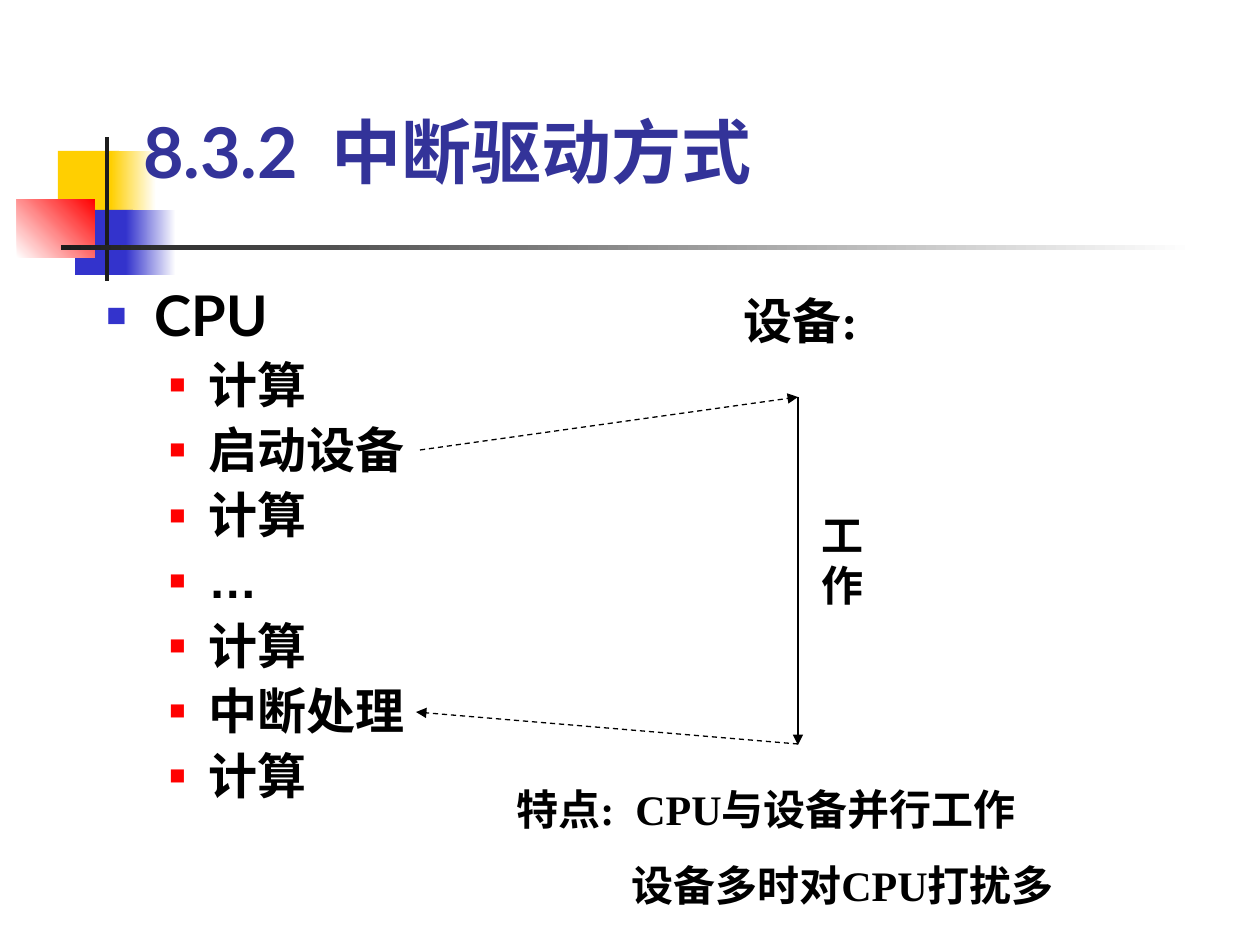
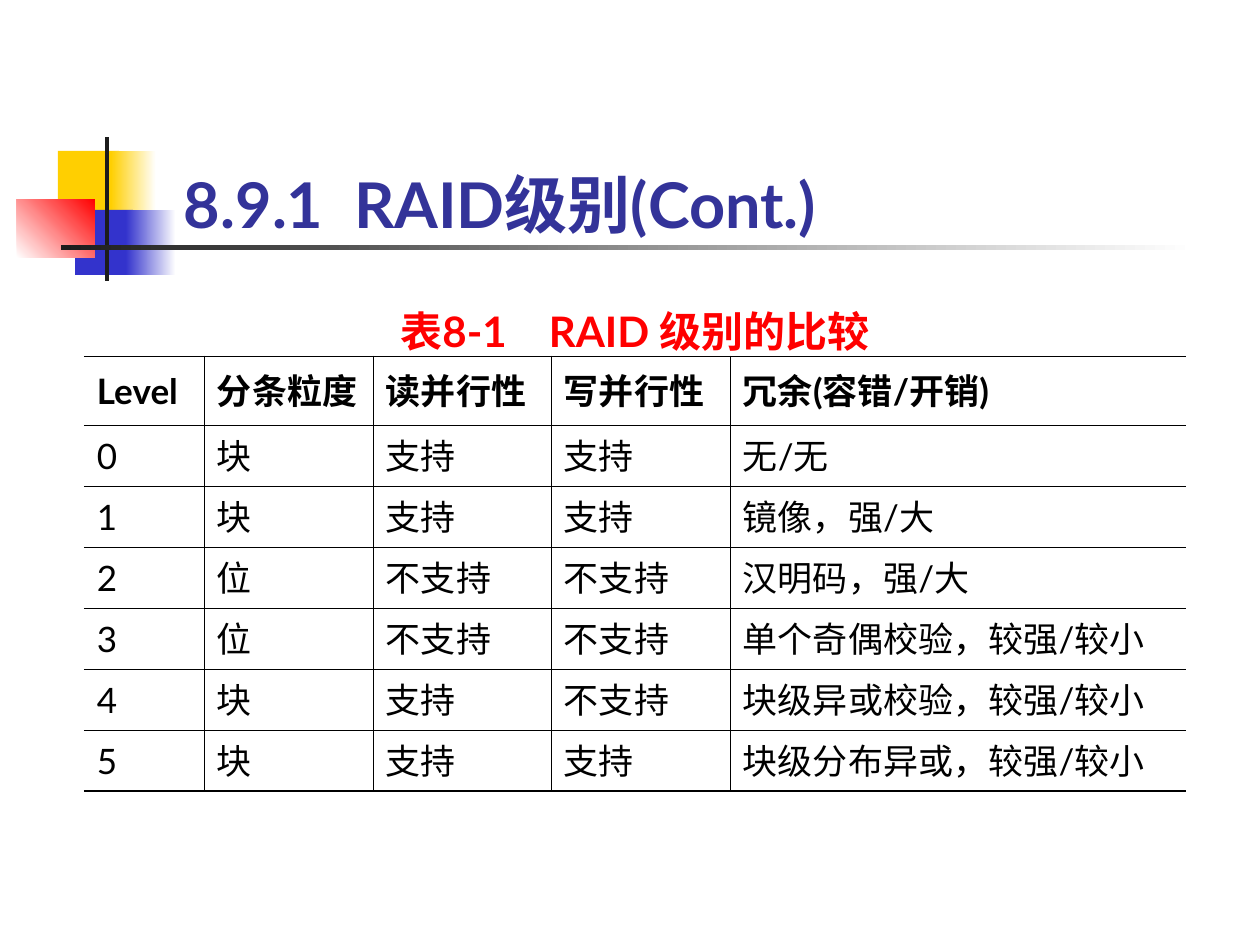
from lxml import etree
from pptx import Presentation
from pptx import util as u
from pptx.dml.color import RGBColor
from pptx.enum import dml, shapes, text
from pptx.oxml.ns import qn

SCALE = 914400 / 126
BLACK, WHITE, RED = "000000", "FFFFFF", "FF0000"
BLUE, YELLOW, DARK, NAVY = "3333CC", "FFCF01", "1C1C1C", "333399"


def px(*lengths):
    return [u.Emu(round(length * SCALE)) for length in lengths]


def write(paragraph, words, color, **formats):
    run = paragraph.add_run()
    run.text = words
    for name, value in formats.items():
        setattr(run.font, name, value)
    run.font.color.rgb = RGBColor.from_string(color)
    etree.SubElement(run.font._element, qn("a:ea"), typeface="Lato")


presentation = Presentation()
presentation.slide_width, presentation.slide_height = px(1260, 945)
layout = presentation.slide_layouts[5]
interrupt_slide, raid_slide = [presentation.slides.add_slide(layout) for _ in range(2)]

emblem = [
    ((58, 151, 61, 66), [YELLOW], 0),
    ((111, 151, 45, 66), [YELLOW, WHITE], 0),
    ((75, 210, 58, 65), [BLUE], 0),
    ((126, 210, 50, 65), [BLUE, WHITE], 0),
    ((17, 199, 78, 59), [WHITE, RED], 45),
    ((105, 137, 4, 144), [DARK], 0),
    ((61, 245, 1134, 5), [DARK, WHITE], 0),
]
for box, colors, angle in emblem:
    shape = interrupt_slide.shapes.add_shape(shapes.MSO_SHAPE.RECTANGLE, *px(*box))
    shape.shadow.inherit = False
    shape.line.fill.background()
    if len(colors) == 1:
        shape.fill.solid()
        shape.fill.fore_color.rgb = RGBColor.from_string(colors[0])
    else:
        shape.fill.gradient()
        shape.fill.gradient_angle = angle
        for stop, color in zip(shape.fill.gradient_stops, colors):
            stop.color.rgb = RGBColor.from_string(color)
    layout.shapes.element.append(shape.element)

titles = [
    (interrupt_slide, "8.3.2  中断驱动方式", 40, (130, 72, 1071, 157), (13, 6), text.MSO_ANCHOR.MIDDLE),
    (raid_slide, "8.9.1  RAID级别(Cont.)", 36, (184, 165, 769, 76), (0, 0), text.MSO_ANCHOR.BOTTOM),
]
for slide, words, size, box, insets, anchor in titles:
    title = slide.shapes.title
    title.left, title.top, title.width, title.height = px(*box)
    frame = title.text_frame
    side, edge = px(*insets)
    frame_format = {
        "margin_left": side, "margin_right": side, "margin_top": edge, "margin_bottom": edge,
        "vertical_anchor": anchor, "auto_size": text.MSO_AUTO_SIZE.NONE, "word_wrap": True,
    }
    for name, value in frame_format.items():
        setattr(frame, name, value)
    frame.paragraphs[0].alignment = text.PP_ALIGN.LEFT
    write(frame.paragraphs[0], words, NAVY, name="Lato", size=u.Pt(size), bold=True)

steps = ["CPU", "计算", "启动设备", "计算", "…", "计算", "中断处理", "计算"]
cpu_frame = interrupt_slide.shapes.add_textbox(*px(94, 282, 463, 567)).text_frame
cpu_frame.word_wrap = True
for index, step in enumerate(steps):
    level = min(index, 1)
    paragraph = cpu_frame.add_paragraph() if index else cpu_frame.paragraphs[0]
    paragraph.level = level
    paragraph.line_spacing = 0.9
    if index:
        paragraph.space_before = u.Pt(7)
    properties = paragraph._p.get_or_add_pPr()
    margin, indent = px(*[(48, -48), (102, -39)][level])
    properties.set("marL", str(margin))
    properties.set("indent", str(indent))
    bullet_color = etree.SubElement(properties, qn("a:buClr"))
    etree.SubElement(bullet_color, qn("a:srgbClr"), val=[BLUE, RED][level])
    etree.SubElement(properties, qn("a:buSzPct"), val=["60000", "55000"][level])
    etree.SubElement(properties, qn("a:buFont"), typeface="Arial")
    etree.SubElement(properties, qn("a:buChar"), char="■")
    write(paragraph, step, BLACK, name="Arial" if step == "…" else "Lato",
          size=u.Pt([32, 28][level]), bold=True)

labels = [
    ((731, 284, 158, 72), 28, [("设备:", 0)]),
    ((809, 503, 95, 113), 24, [("工作", 0)]),
    ((504, 777, 662, 140), 24, [("特点:  CPU与设备并行工作", 0), ("设备多时对CPU打扰多", 115)]),
]
for box, size, lines in labels:
    frame = interrupt_slide.shapes.add_textbox(*px(*box)).text_frame
    frame.word_wrap = True
    for index, (words, margin) in enumerate(lines):
        paragraph = frame.add_paragraph() if index else frame.paragraphs[0]
        if index:
            paragraph.space_before = u.Pt(15)
            paragraph._p.get_or_add_pPr().set("marL", str(px(margin)[0]))
        write(paragraph, words, BLACK, name="Times New Roman", size=u.Pt(size), bold=True)

arrows = [
    ((798, 397, 798, 745), False),
    ((420, 450, 798, 397), True),
    ((798, 744, 416, 712), True),
]
for ends, dashed in arrows:
    arrow = interrupt_slide.shapes.add_connector(shapes.MSO_CONNECTOR.STRAIGHT, *px(*ends))
    arrow.line.width = u.Pt(0.75)
    arrow.line.color.rgb = RGBColor.from_string(BLACK)
    if dashed:
        arrow.line.dash_style = dml.MSO_LINE.DASH
    etree.SubElement(arrow.line._get_or_add_ln(), qn("a:tailEnd"), type="triangle")
    etree.SubElement(arrow._element.spPr, qn("a:effectLst"))

raid_rows = [
    ["表8-1　RAID 级别的比较", "", "", "", ""],
    ["Level", "分条粒度", "读并行性", "写并行性", "冗余(容错/开销)"],
    ["0", "块", "支持", "支持", "无/无"],
    ["1", "块", "支持", "支持", "镜像，强/大"],
    ["2", "位", "不支持", "不支持", "汉明码，强/大"],
    ["3", "位", "不支持", "不支持", "单个奇偶校验，较强/较小"],
    ["4", "块", "支持", "不支持", "块级异或校验，较强/较小"],
    ["5", "块", "支持", "支持", "块级分布异或，较强/较小"],
]
column_widths = px(120, 169, 178, 179, 456)
row_heights = px(62, 69, *[61] * 6)
table = raid_slide.shapes.add_table(8, 5, *px(84, 294, 1102, 497)).table
table.first_row = table.horz_banding = False
for column, width in zip(table.columns, column_widths):
    column.width = width
for row, height in zip(table.rows, row_heights):
    row.height = height
table.cell(0, 0).merge(table.cell(0, 4))

THICK, THIN = u.Pt(1.08), u.Pt(0.45)
rules = [0, THICK, THICK, *[THIN] * 5, THICK]
for r, values in enumerate(raid_rows):
    for c, value in enumerate(values):
        cell = table.cell(r, c)
        caption = r == 0
        borders = {
            "a:lnL": THIN if c > 0 and not caption else 0,
            "a:lnR": THIN if c < 4 and not caption else 0,
            "a:lnT": rules[r],
            "a:lnB": rules[r + 1],
        }
        for tag, width in borders.items():
            border = etree.SubElement(cell._tc.get_or_add_tcPr(), qn(tag), w=str(width))
            fill = etree.SubElement(border, qn("a:solidFill" if width else "a:noFill"))
            if width:
                etree.SubElement(fill, qn("a:srgbClr"), val=BLACK)
        cell.fill.background()
        side, top, bottom = px(13, 12 if caption else 6, 0 if caption else 6)
        cell_format = {
            "margin_left": side, "margin_right": side, "margin_top": top, "margin_bottom": bottom,
            "vertical_anchor": text.MSO_ANCHOR.BOTTOM if caption else text.MSO_ANCHOR.MIDDLE,
        }
        for name, setting in cell_format.items():
            setattr(cell, name, setting)
        paragraph = cell.text_frame.paragraphs[0]
        if caption:
            paragraph.alignment = text.PP_ALIGN.CENTER
        if value:
            write(paragraph, value, RED if caption else BLACK, name="Lato",
                  size=u.Pt(24 if caption else 20), bold=r < 2)

presentation.save("out.pptx")
